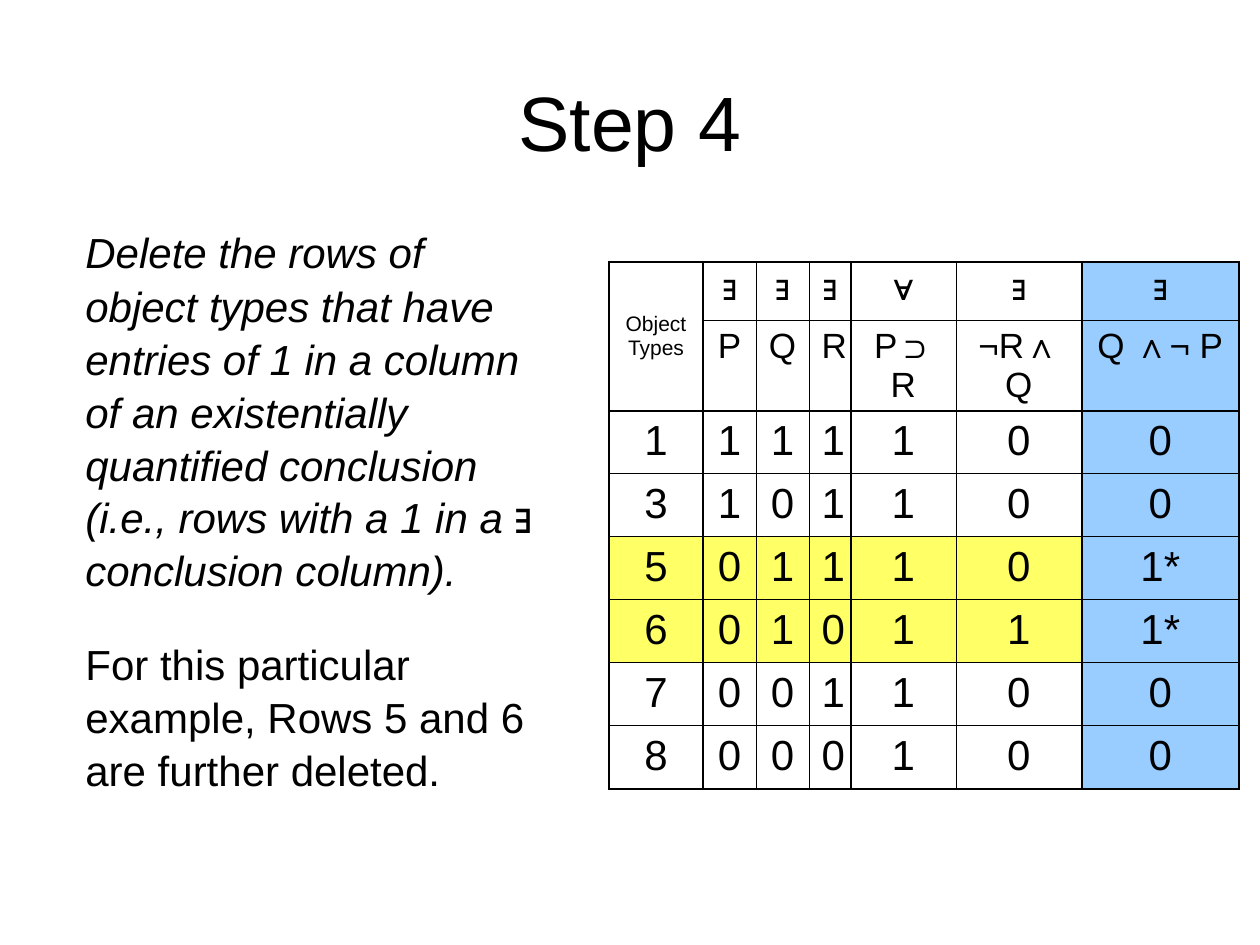
from dataclasses import dataclass
from typing import Optional

from lxml import etree
from pptx import Presentation
from pptx import util as u
from pptx.dml.color import RGBColor
from pptx.enum import text
from pptx.oxml.ns import qn

PX = 914400 / 126
FONT = "Arial"
BLACK = RGBColor(0x00, 0x00, 0x00)
BLUE = RGBColor(0x99, 0xCC, 0xFF)
YELLOW = RGBColor(0xFF, 0xFF, 0x66)

COLUMN_WIDTHS = [94, 53, 53, 42, 105, 126, 157]
ROW_HEIGHTS = [58] + [63] * 7
THICK_COLUMN_EDGES = {0, 1, 4, 6, 7}
THICK_ROW_EDGES = {0, 2, 8}
THICK, THIN = 1.47, 0.45

HEADER_ROWS = 2
CONCLUSION_COLUMN = 6
DELETED_TYPES = {"5", "6"}
TRUTH_TABLE = [
    ["Object Types", "∃", "∃", "∃", "∀", "∃", "∃"],
    ["", "P", "Q", "R", "P⊃R", "¬R∧Q", "Q ∧¬ P"],
    ["1", "1", "1", "1", "1", "0", "0"],
    ["3", "1", "0", "1", "1", "0", "0"],
    ["5", "0", "1", "1", "1", "0", "1*"],
    ["6", "0", "1", "0", "1", "1", "1*"],
    ["7", "0", "0", "1", "1", "0", "0"],
    ["8", "0", "0", "0", "1", "0", "0"],
]


@dataclass
class Run:
    text: str
    size: int = 24
    italic: bool = False


@dataclass
class TextBlock:
    left: int
    top: int
    width: int
    height: int
    runs: list[Run]
    paragraph: dict
    anchor: text.MSO_ANCHOR = text.MSO_ANCHOR.TOP
    auto_size: text.MSO_AUTO_SIZE = text.MSO_AUTO_SIZE.NONE
    hanging: int = 0


BODY_FORMAT = {"space_before": u.Pt(6), "line_spacing": 1.05}
TEXT_BLOCKS = [
    TextBlock(63, 42, 1134, 157, [Run("Step 4", 44)],
              {"alignment": text.PP_ALIGN.CENTER}, text.MSO_ANCHOR.MIDDLE),
    TextBlock(0, 210, 557, 388, [
        Run("\t", 28, True),
        Run("Delete the rows of object types that have entries of 1 in a column "
            "of an existentially quantified conclusion (i.e., rows with a 1 in a ",
            italic=True),
        Run("∃"),
        Run(" conclusion column).", italic=True),
    ], BODY_FORMAT, hanging=73),
    TextBlock(73, 630, 473, 164, [
        Run("For this particular example, Rows 5 and 6 are further deleted."),
    ], BODY_FORMAT, auto_size=text.MSO_AUTO_SIZE.SHAPE_TO_FIT_TEXT),
]


def px(length: int) -> int:
    return round(length * PX)


def set_attributes(target, values: dict) -> None:
    for name, value in values.items():
        setattr(target, name, value)


def add_run(p, run: Run) -> None:
    r = p.add_run()
    r.text = run.text
    set_attributes(r.font, {"name": FONT, "size": u.Pt(run.size), "italic": run.italic})
    r.font.color.rgb = BLACK


def add_text(s, block: TextBlock) -> None:
    sp = s.shapes.add_textbox(px(block.left), px(block.top), px(block.width), px(block.height))
    tf = sp.text_frame
    set_attributes(tf, {"word_wrap": True, "auto_size": block.auto_size,
                        "vertical_anchor": block.anchor})
    p = tf.paragraphs[0]
    set_attributes(p, block.paragraph)
    if block.hanging:
        pPr = p._p.get_or_add_pPr()
        pPr.set("marL", str(px(block.hanging)))
        pPr.set("indent", str(-px(block.hanging)))
    for run in block.runs:
        add_run(p, run)


def set_borders(cell, row: int, column: int) -> None:
    thick_sides = {
        "lnL": column in THICK_COLUMN_EDGES,
        "lnR": column + 1 in THICK_COLUMN_EDGES,
        "lnT": row in THICK_ROW_EDGES,
        "lnB": row + 1 in THICK_ROW_EDGES,
    }
    tcPr = cell._tc.get_or_add_tcPr()
    for side, thick in thick_sides.items():
        width = u.Pt(THICK if thick else THIN)
        ln = etree.SubElement(tcPr, qn(f"a:{side}"), w=str(width))
        fill = etree.SubElement(ln, qn("a:solidFill"))
        etree.SubElement(fill, qn("a:srgbClr"), val=str(BLACK))


def cell_color(row: int, column: int) -> Optional[RGBColor]:
    if column == CONCLUSION_COLUMN:
        return BLUE
    return YELLOW if TRUTH_TABLE[row][0] in DELETED_TYPES else None


def fill_cell(cell, row: int, column: int) -> None:
    set_borders(cell, row, column)
    color = cell_color(row, column)
    if color is None:
        cell.fill.background()
    else:
        cell.fill.solid()
        cell.fill.fore_color.rgb = color
    label = TRUTH_TABLE[row][column]
    if not label:
        return
    if row >= HEADER_ROWS:
        size, space = 24, 6
    elif column == 0:
        size, space = 12, 3
        cell.vertical_anchor = text.MSO_ANCHOR.MIDDLE
    else:
        size, space = 20, 5
    p = cell.text_frame.paragraphs[0]
    set_attributes(p, {"alignment": text.PP_ALIGN.CENTER, "space_before": u.Pt(space)})
    add_run(p, Run(label, size))


def add_truth_table(s, left: int, top: int) -> None:
    frame = s.shapes.add_table(len(ROW_HEIGHTS), len(COLUMN_WIDTHS), px(left), px(top),
                               px(sum(COLUMN_WIDTHS)), px(sum(ROW_HEIGHTS)))
    table = frame.table
    set_attributes(table, {"first_row": False, "horz_banding": False})
    for column, width in zip(table.columns, COLUMN_WIDTHS):
        column.width = px(width)
    for row, height in zip(table.rows, ROW_HEIGHTS):
        row.height = px(height)
    table.cell(0, 0).merge(table.cell(HEADER_ROWS - 1, 0))
    for row in range(len(ROW_HEIGHTS)):
        for column in range(len(COLUMN_WIDTHS)):
            fill_cell(table.cell(row, column), row, column)


def main() -> None:
    prs = Presentation()
    set_attributes(prs, {"slide_width": px(1260), "slide_height": px(945)})
    s = prs.slides.add_slide(prs.slide_layouts[6])
    title, instruction, example = TEXT_BLOCKS
    add_text(s, title)
    add_text(s, instruction)
    add_truth_table(s, 609, 262)
    add_text(s, example)
    prs.save("out.pptx")


if __name__ == "__main__":
    main()
